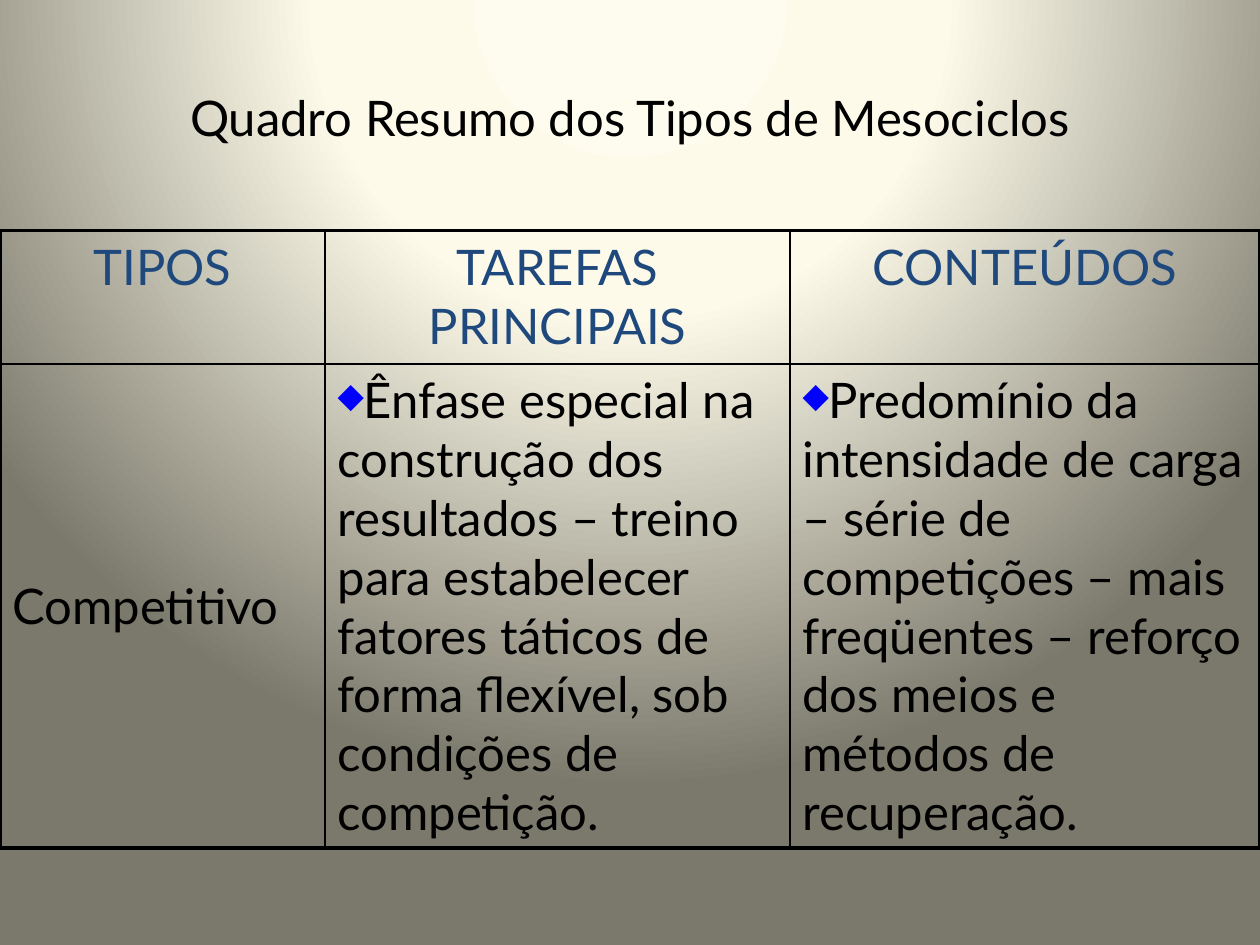
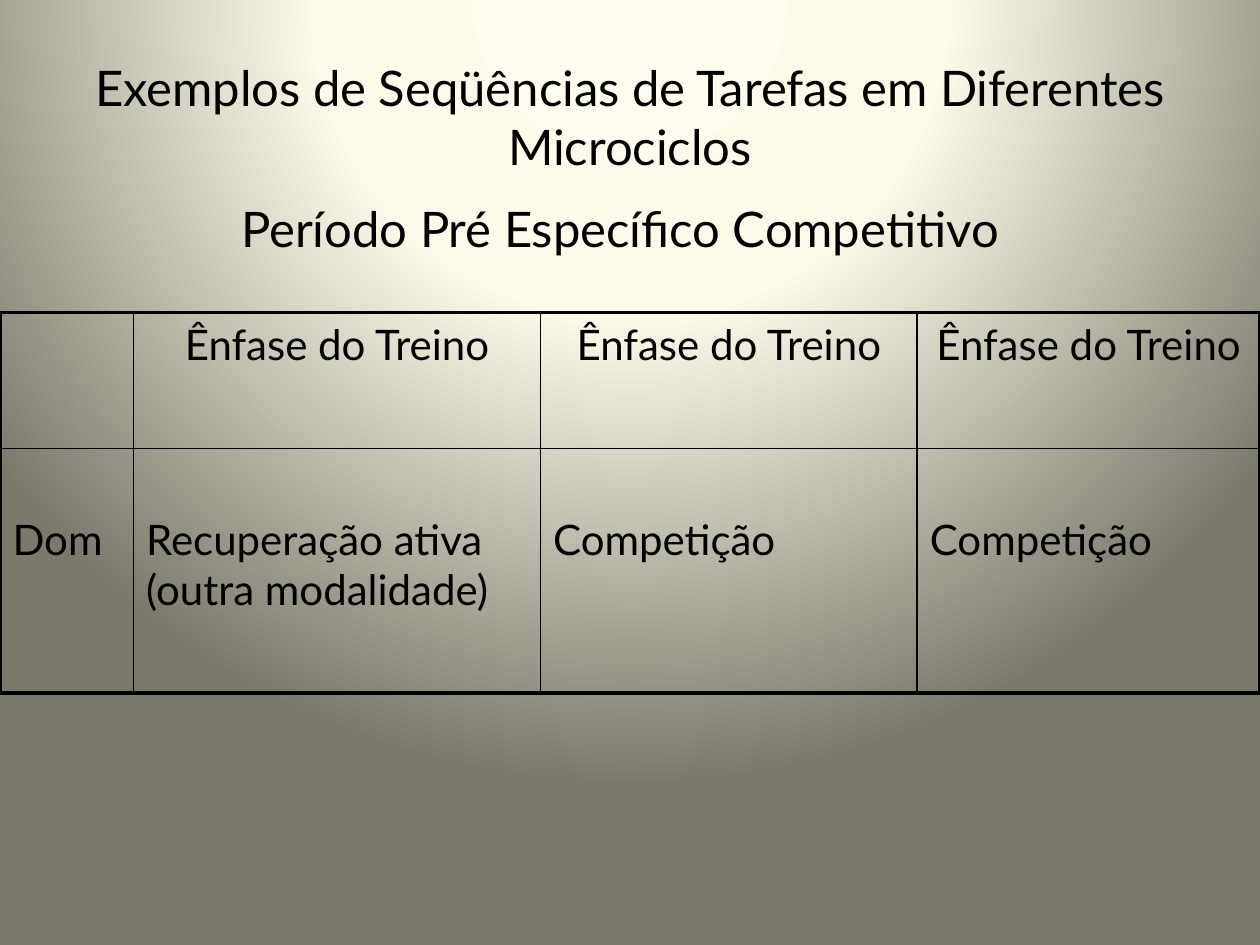
import pptx
import pptx.dml.color
import pptx.enum.text
import pptx.oxml
import pptx.oxml.ns
import pptx.util

# Shared style
BLACK = pptx.dml.color.RGBColor(0x00, 0x00, 0x00)
NAVY = pptx.dml.color.RGBColor(0x1F, 0x49, 0x7D)
BLUE = pptx.dml.color.RGBColor(0x00, 0x00, 0xFF)
CREAM = pptx.dml.color.RGBColor(0xFE, 0xFC, 0xEE)
IVORY = pptx.dml.color.RGBColor(0xFD, 0xFA, 0xEA)
OLIVE = pptx.dml.color.RGBColor(0x7B, 0x79, 0x6B)
GLOW = ((0, CREAM), (40, IVORY), (100, OLIVE))
FONT = "Lato"
OUTER, INNER = 2.25, 1
PLAIN_TABLE = "{2D5ABB26-0587-4C30-8999-92F81FD0307C}"

ALIGN = pptx.enum.text.PP_ALIGN
ANCHOR = pptx.enum.text.MSO_ANCHOR


def element(tag, content="", **attributes):
    """Make one XML element with its attributes and inner markup."""
    pairs = " ".join(f'{name}="{value}"' for name, value in attributes.items())
    spaces = pptx.oxml.ns.nsdecls("a", "p")
    return pptx.oxml.parse_xml(f"<{tag} {spaces} {pairs}>{content}</{tag}>")


def write(frame, text, size=28, color=BLACK, align=ALIGN.LEFT, bullet=None):
    """Put one formatted paragraph into a text frame."""
    para = frame.paragraphs[0]
    para.alignment = align
    if bullet:
        properties = para._p.get_or_add_pPr()
        properties.append(element("a:buClr", f'<a:srgbClr val="{BLUE}"/>'))
        properties.append(element("a:buSzPct", val=70000))
        properties.append(element("a:buChar", char=bullet))
    span = para.add_run()
    span.text = text
    span.font.name = FONT
    span.font.size = pptx.util.Pt(size)
    span.font.color.rgb = color


class Builder:
    """Holds the deck and the current page; lengths are percent of the page."""

    def __init__(self):
        self.deck = pptx.Presentation()
        self.deck.slide_width = pptx.util.Inches(10)
        self.deck.slide_height = pptx.util.Inches(7.5)
        self.page = None
        self.background()

    def across(self, percent):
        return round(self.deck.slide_width * percent / 100)

    def down(self, percent):
        return round(self.deck.slide_height * percent / 100)

    def background(self):
        """Give the master a round glow centred above the page."""
        stops = "".join(f'<a:gs pos="{place * 1000}"><a:srgbClr val="{color}"/></a:gs>'
                        for place, color in GLOW)
        fill = (f'<a:gradFill rotWithShape="1"><a:gsLst>{stops}</a:gsLst><a:path path="circle">'
                '<a:fillToRect l="50000" t="-80000" r="50000" b="180000"/></a:path></a:gradFill>')
        content = self.deck.slide_master._element.cSld
        for old in content.findall(pptx.oxml.ns.qn("p:bg")):
            content.remove(old)
        content.insert(0, element("p:bg", f"<p:bgPr>{fill}<a:effectLst/></p:bgPr>"))

    def new_page(self, title):
        self.page = self.deck.slides.add_slide(self.deck.slide_layouts[5])
        box = self.page.shapes.title
        box.left, box.top = self.across(5), self.down(4)
        box.width, box.height = self.across(90), self.down(16.67)
        frame = box.text_frame
        frame.auto_size = pptx.enum.text.MSO_AUTO_SIZE.NONE
        frame.vertical_anchor = ANCHOR.MIDDLE
        write(frame, title, align=ALIGN.CENTER)

    def text(self, left, top, width, height, text, **style):
        box = self.page.shapes.add_textbox(self.across(left), self.down(top),
                                           self.across(width), self.down(height))
        box.text_frame.word_wrap = True
        write(box.text_frame, text, **style)

    def borders(self, cell, sides):
        """Draw the left, right, top and bottom borders with the given widths."""
        properties = cell._tc.get_or_add_tcPr()
        line = f'<a:solidFill><a:srgbClr val="{BLACK}"/></a:solidFill>'
        for place, (side, width) in enumerate(zip("LRTB", sides)):
            properties.insert(place, element(f"a:ln{side}", line, w=pptx.util.Pt(width)))

    def table(self, top, widths, heights, rows):
        """Add a full-width table; each cell is a text with its format, or None."""
        frame = self.page.shapes.add_table(len(heights), len(widths), 0, self.down(top),
                                           self.across(sum(widths)), self.down(sum(heights)))
        grid = frame.table
        grid.first_row = grid.horz_banding = False
        grid._tbl.tblPr.find(pptx.oxml.ns.qn("a:tableStyleId")).text = PLAIN_TABLE
        for column, width in zip(grid.columns, widths):
            column.width = self.across(width)
        for row, height in zip(grid.rows, heights):
            row.height = self.down(height)
        last_row, last_column = len(heights) - 1, len(widths) - 1
        for r, row in enumerate(rows):
            for c, content in enumerate(row):
                cell = grid.cell(r, c)
                cell.fill.background()
                edges = (c == 0, c == last_column, r == 0, r == last_row)
                self.borders(cell, [OUTER if edge else INNER for edge in edges])
                if content:
                    self.fill_cell(cell, *content)

    def fill_cell(self, cell, text, style, anchor=ANCHOR.TOP, drop=0.67):
        cell.vertical_anchor = anchor
        cell.margin_top = self.down(drop)
        write(cell.text_frame, text, **style)


def main():
    builder = Builder()

    # Summary of the mesocycle types
    builder.new_page("Quadro Resumo dos Tipos de Mesociclos")
    heading = {"color": NAVY, "align": ALIGN.CENTER}
    diamond = {"bullet": "◆"}
    builder.table(24.4, (25.8, 36.9, 37.3), (14.13, 51.2), [
        [(name, heading) for name in ("TIPOS", "TAREFAS PRINCIPAIS", "CONTEÚDOS")],
        [("Competitivo", {}, ANCHOR.MIDDLE),
         ("Ênfase especial na construção dos resultados – treino para estabelecer "
          "fatores táticos de forma flexível, sob condições de competição.", diamond),
         ("Predomínio da intensidade de carga – série de competições – mais freqüentes "
          "– reforço dos meios e métodos de recuperação.", diamond)],
    ])

    # Task sequences in the microcycles
    builder.new_page("Exemplos de Seqüências de Tarefas em Diferentes Microciclos")
    emphasis = ("Ênfase do Treino", {"size": 24, "align": ALIGN.CENTER})
    sunday = ("Dom", "Recuperação ativa (outra modalidade)", "Competição", "Competição")
    builder.table(33.07, (10.6, 32.3, 29.9, 27.2), (14.4, 25.87), [
        [None] + [emphasis] * 3,
        [(task, {"size": 24}, ANCHOR.TOP, 6.93) for task in sunday],
    ])
    builder.text(6.7, 20.4, 85, 12.93, "Período Pré Específico Competitivo",
                 align=ALIGN.CENTER)

    builder.deck.save("out.pptx")


if __name__ == "__main__":
    main()
